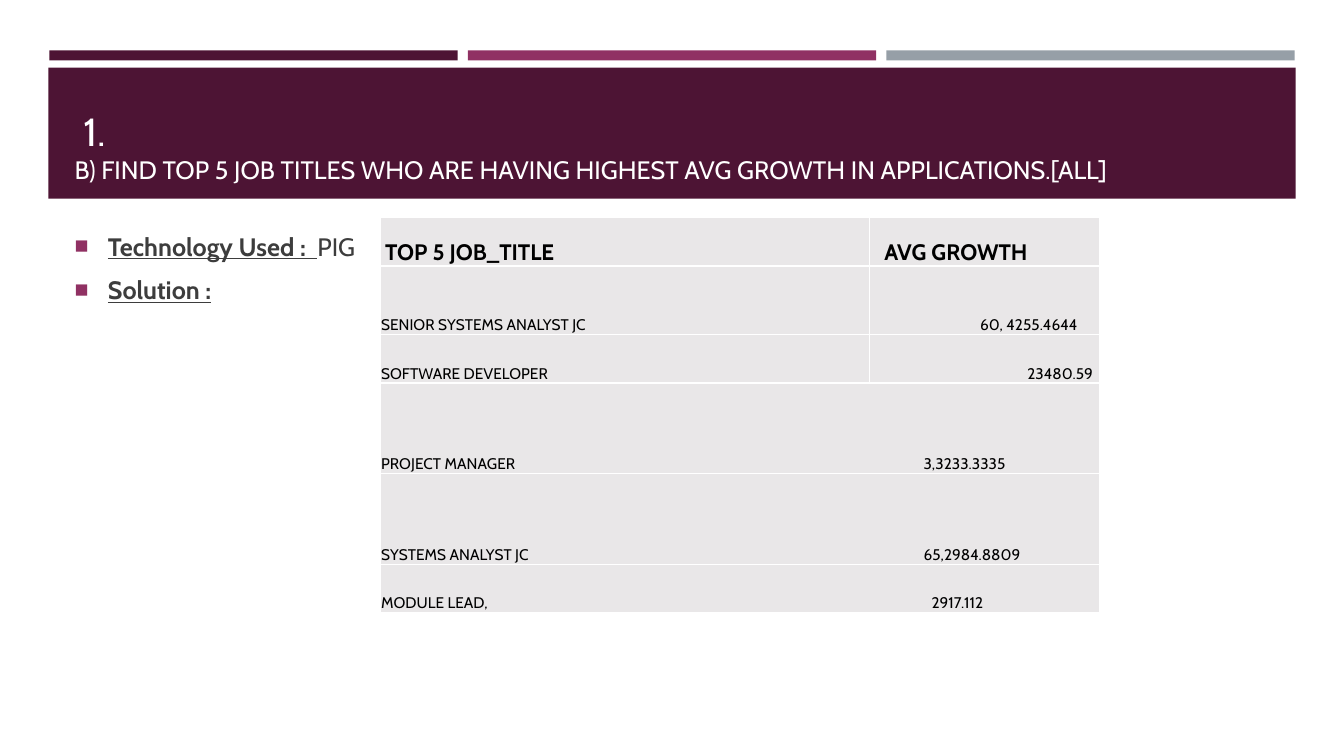
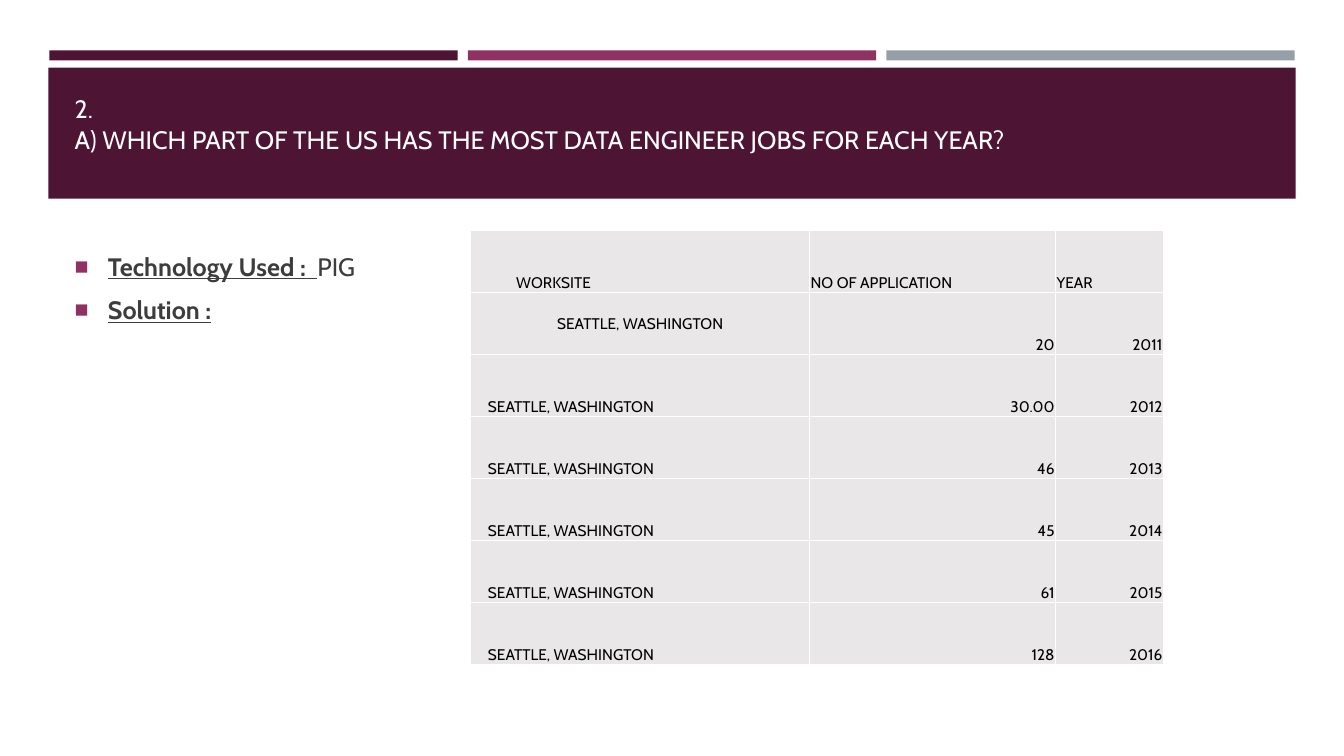
"""Build two slides of job application findings, each with a title band, a list and a table."""
from lxml import etree
from pptx import Presentation
from pptx.dml.color import RGBColor
from pptx.enum.shapes import MSO_SHAPE
from pptx.enum.text import MSO_ANCHOR, MSO_AUTO_SIZE, PP_ALIGN
from pptx.oxml.ns import qn
from pptx.util import Inches, Pt

LEFT, CENTER, RIGHT = PP_ALIGN.LEFT, PP_ALIGN.CENTER, PP_ALIGN.RIGHT
TOP, MIDDLE, BOTTOM = MSO_ANCHOR.TOP, MSO_ANCHOR.MIDDLE, MSO_ANCHOR.BOTTOM
RECTANGLE = MSO_SHAPE.RECTANGLE
NO_AUTOFIT = MSO_AUTO_SIZE.NONE

PLUM = RGBColor(0x4D, 0x14, 0x34)
MAGENTA = RGBColor(0x90, 0x31, 0x63)
GRAY = RGBColor(0x96, 0x9F, 0xA7)
CELL_GRAY = RGBColor(0xE9, 0xE7, 0xE8)
TEXT_GRAY = RGBColor(0x3D, 0x3D, 0x3D)
BLACK = RGBColor(0, 0, 0)
WHITE = RGBColor(0xFF, 0xFF, 0xFF)
FONT = "Cabin"
CELL_MARGIN = 0.01

BANDS = [(0.49 + 4.15 * index, 0.5, 4.05, 0.1, color)
         for index, color in enumerate((PLUM, MAGENTA, GRAY))]
BANDS.append((0.48, 0.67, 12.37, 1.3, PLUM))

GROWTH_ROWS = [
    [("TOP 5 JOB_TITLE", LEFT, 0.05), ("AVG GROWTH", LEFT, 0.15)],
    [("SENIOR SYSTEMS ANALYST JC", LEFT, CELL_MARGIN), ("60, 4255.4644", LEFT, 1.1)],
    [("SOFTWARE DEVELOPER", LEFT, CELL_MARGIN), ("23480.59", RIGHT, 0.07)],
    [("PROJECT MANAGER\t3,3233.3335", LEFT, CELL_MARGIN, 5.38)],
    [("SYSTEMS ANALYST JC\t65,2984.8809", LEFT, CELL_MARGIN, 5.38)],
    [("MODULE LEAD,\t2917.112", LEFT, CELL_MARGIN, 5.46)],
]

WORKSITE_ROWS = [[("WORKSITE", LEFT, 0.45),
                  ("NO OF APPLICATION", LEFT, CELL_MARGIN),
                  ("YEAR", LEFT, CELL_MARGIN)]]
for year, count in enumerate(("20", "30.00", "46", "45", "61", "128"), start=2011):
    WORKSITE_ROWS.append([
        ("SEATTLE, WASHINGTON", CENTER if year == 2011 else LEFT, 0.17),
        (count, RIGHT, CELL_MARGIN),
        (str(year), RIGHT, CELL_MARGIN),
    ])

SLIDES = [
    {
        "title": [
            (" 1.", 28),
            ("B) FIND TOP 5 JOB TITLES WHO ARE HAVING HIGHEST AVG GROWTH IN APPLICATIONS.[ALL]", 18),
        ],
        "title_bottom_margin": 0.05,
        "list_top": 2.24,
        "table_position": (3.77, 2.16),
        "column_widths": (4.85, 2.29),
        "row_heights": (0.48, 0.68, 0.48, 0.9, 0.9, 0.48),
        "header_font": (16, True),
        "rows": GROWTH_ROWS,
    },
    {
        "title": [
            ("2.", 18),
            ("A) WHICH PART OF THE US HAS THE MOST DATA ENGINEER JOBS FOR EACH YEAR?", 18),
        ],
        "title_bottom_margin": 0.35,
        "list_top": 2.44,
        "table_position": (4.67, 2.29),
        "column_widths": (3.36, 2.44, 1.07),
        "row_heights": (0.615,) * 7,
        "header_font": (11, False),
        "rows": WORKSITE_ROWS,
    },
]


def format_run(run, size, color, bold=False, underline=False):
    run.font.name = FONT
    run.font.size = Pt(size)
    run.font.color.rgb = color
    run.font.bold = bold
    run.font.underline = underline


def style_cell(cell):
    cell.fill.solid()
    cell.fill.fore_color.rgb = CELL_GRAY
    cell.margin_left = cell.margin_right = cell.margin_top = Inches(CELL_MARGIN)
    cell.margin_bottom = 0
    cell.vertical_anchor = BOTTOM
    properties = cell.fill._xPr
    for index, side in enumerate(("a:lnL", "a:lnR", "a:lnT", "a:lnB")):
        border = etree.Element(qn(side), w=str(Pt(1)))
        fill = etree.SubElement(border, qn("a:solidFill"))
        etree.SubElement(fill, qn("a:srgbClr"), val=str(WHITE))
        properties.insert(index, border)


presentation = Presentation()
presentation.slide_width = Inches(13.33)
presentation.slide_height = Inches(7.5)
layout = presentation.slide_layouts[1]
slides = [presentation.slides.add_slide(layout) for _ in SLIDES]

for position, (left, top, width, height, color) in enumerate(BANDS, start=2):
    band = slides[0].shapes.add_shape(
        RECTANGLE, Inches(left), Inches(top), Inches(width), Inches(height))
    band.shadow.inherit = False
    band.fill.solid()
    band.fill.fore_color.rgb = color
    band.line.fill.background()
    layout.shapes.element.insert(position, band.element)

for slide, content in zip(slides, SLIDES):
    title = slide.shapes.title
    title.left, title.top = Inches(0.64), Inches(0.77)
    title.width, title.height = Inches(12.06), Inches(1.11)
    title_frame = title.text_frame
    title_frame.auto_size = NO_AUTOFIT
    title_frame.vertical_anchor = BOTTOM
    title_frame.margin_bottom = Inches(content["title_bottom_margin"])
    title_frame.text = "\n".join(text for text, _ in content["title"])
    for paragraph, (_, size) in zip(title_frame.paragraphs, content["title"]):
        paragraph.alignment = LEFT
        format_run(paragraph.runs[0], size, WHITE)

    body = slide.placeholders[1]
    body.left, body.top = Inches(0.64), Inches(content["list_top"])
    body.width, body.height = Inches(3.1), Inches(4)
    body_frame = body.text_frame
    body_frame.auto_size = NO_AUTOFIT
    body_frame.vertical_anchor = TOP
    body_frame.text = "Technology Used :  \nSolution :"
    for paragraph in body_frame.paragraphs:
        paragraph.space_after = Pt(6)
        format_run(paragraph.runs[0], 18, TEXT_GRAY, bold=True, underline=True)
        properties = paragraph._p.get_or_add_pPr()
        properties.set("marL", str(Inches(0.33)))
        properties.set("indent", str(Inches(-0.33)))
        bullet_color = etree.SubElement(properties, qn("a:buClr"))
        etree.SubElement(bullet_color, qn("a:srgbClr"), val=str(MAGENTA))
        etree.SubElement(properties, qn("a:buSzPct"), val="92000")
        etree.SubElement(properties, qn("a:buChar"), char="■")
    technology = body_frame.paragraphs[0].add_run()
    technology.text = "PIG"
    format_run(technology, 18, TEXT_GRAY)

    widths, heights = content["column_widths"], content["row_heights"]
    left, top = content["table_position"]
    table = slide.shapes.add_table(
        len(heights), len(widths), Inches(left), Inches(top),
        Inches(sum(widths)), Inches(sum(heights))).table
    for column, width in zip(table.columns, widths):
        column.width = Inches(width)
    for row, height in zip(table.rows, heights):
        row.height = Inches(height)
    for cell in table.iter_cells():
        style_cell(cell)

    for row_index, row in enumerate(content["rows"]):
        size, bold = content["header_font"] if row_index == 0 else (11, False)
        if len(row) < len(widths):
            table.cell(row_index, 0).merge(table.cell(row_index, len(widths) - 1))
        for column_index, (text, alignment, margin, *tab_stops) in enumerate(row):
            cell = table.cell(row_index, column_index)
            cell.text_frame.text = text
            paragraph = cell.text_frame.paragraphs[0]
            paragraph.alignment = alignment
            format_run(paragraph.runs[0], size, BLACK, bold)
            if alignment == LEFT:
                cell.margin_left = Inches(margin)
            elif alignment == RIGHT:
                cell.margin_right = Inches(margin)
            else:
                cell.vertical_anchor = MIDDLE
            for tab_stop in tab_stops:
                tab_list = etree.SubElement(paragraph._p.get_or_add_pPr(), qn("a:tabLst"))
                etree.SubElement(tab_list, qn("a:tab"), pos=str(Inches(tab_stop)), algn="l")

presentation.save("out.pptx")
